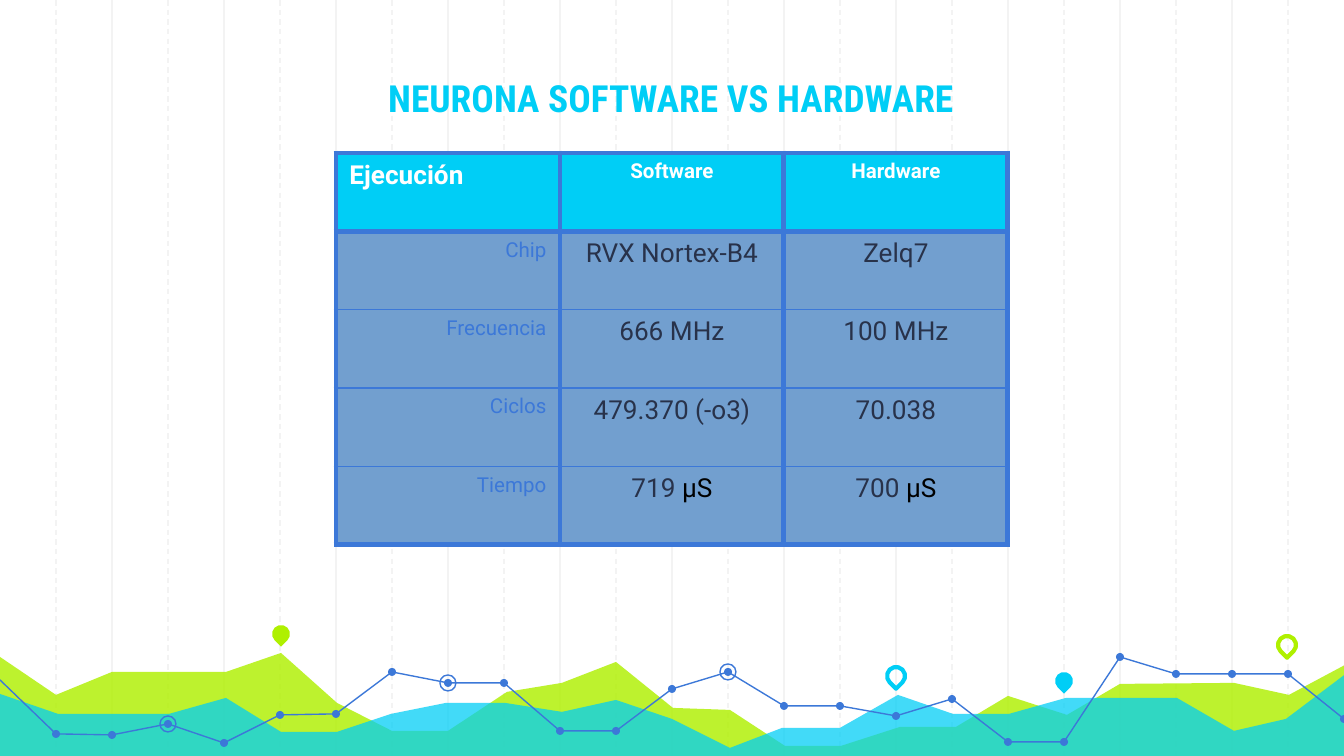
import lxml.etree
import pptx
import pptx.dml.color
import pptx.enum.dml
import pptx.enum.shapes
import pptx.enum.text
import pptx.oxml.ns
import pptx.util

SCALE = 914400 / 134.4
WIDTH, HEIGHT, FLOOR = 1344, 756, 758
STEP = 56
CYAN, LIME, BLUE = "00CEF6", "AFF000", "3C78D8"
GRID, BODY, INK, WHITE, BLACK = "F3F3F3", "729FCF", "28324A", "FFFFFF", "000000"
ALIGN = pptx.enum.text.PP_ALIGN
SHAPE = pptx.enum.shapes.MSO_SHAPE


def px(n):
    return pptx.util.Emu(round(n * SCALE))


def rgb(color):
    return pptx.dml.color.RGBColor.from_string(color)


def sub(parent, tag, **attrs):
    return lxml.etree.SubElement(parent, pptx.oxml.ns.qn(tag), attrs)


class Deck:
    font = "Roboto"
    title_font = "Roboto Condensed"
    thin, thick = 0.75, 3

    def __init__(self):
        self.prs = pptx.Presentation()
        self.prs.slide_width = px(WIDTH)
        self.prs.slide_height = px(HEIGHT)
        self.s = self.prs.slides.add_slide(self.prs.slide_layouts[5])

    def paint(self, sp, fill=None, line=None, width=thin, alpha=None):
        sp.shadow.inherit = False
        if fill:
            sp.fill.solid()
            sp.fill.fore_color.rgb = rgb(fill)
        else:
            sp.fill.background()
        if alpha:
            clr = sp.element.xpath("./p:spPr/a:solidFill/a:srgbClr")[0]
            sub(clr, "a:alpha", val=str(alpha * 1000))
        if line:
            sp.line.color.rgb = rgb(line)
            sp.line.width = pptx.util.Pt(width)
        else:
            sp.line.fill.background()

    def run(self, p, text, size, color, bold=False, font=font):
        r = p.add_run()
        r.text = text
        r.font.size = pptx.util.Pt(size)
        r.font.name = font
        r.font.bold = bold
        r.font.color.rgb = rgb(color)

    def title(self, text, x, y, w, h):
        sp = self.s.shapes.title
        sp.element.getparent().append(sp.element)
        sp.left, sp.top, sp.width, sp.height = px(x), px(y), px(w), px(h)
        tf = sp.text_frame
        tf.word_wrap = True
        tf.auto_size = pptx.enum.text.MSO_AUTO_SIZE.NONE
        tf.vertical_anchor = pptx.enum.text.MSO_ANCHOR.BOTTOM
        tf.margin_left = tf.margin_right = tf.margin_top = tf.margin_bottom = px(13)
        p = tf.paragraphs[0]
        p.alignment = ALIGN.CENTER
        self.run(p, text, 20, CYAN, True, self.title_font)

    def grid_line(self, x, dashed):
        kind = pptx.enum.shapes.MSO_CONNECTOR.STRAIGHT
        c = self.s.shapes.add_connector(kind, px(x), 0, px(x), px(FLOOR))
        c.line.color.rgb = rgb(GRID)
        c.line.width = pptx.util.Pt(self.thin)
        if dashed:
            c.line.dash_style = pptx.enum.dml.MSO_LINE.DASH
        sub(c.element.spPr, "a:effectLst")

    def outline(self, points, close=False, **style):
        builder = self.s.shapes.build_freeform(*points[0], scale=SCALE)
        builder.add_line_segments(points[1:], close=close)
        self.paint(builder.convert_to_shape(), **style)

    def area(self, points, color, alpha):
        base = [(WIDTH + 3, FLOOR), (-3, FLOOR)]
        self.outline(points + base, close=True, fill=color, alpha=alpha)

    def mark(self, kind, x, y, size, rotation=0, **style):
        sp = self.s.shapes.add_shape(
            kind, px(x - size / 2), px(y - size / 2), px(size), px(size))
        sp.rotation = rotation
        self.paint(sp, **style)

    def cell(self, cell, runs, align, fill, top, bottom):
        pr = cell._tc.get_or_add_tcPr()
        sides = (("L", self.thick), ("R", self.thick), ("T", top), ("B", bottom))
        for side, width in sides:
            ln = sub(pr, "a:ln" + side, w=str(pptx.util.Pt(width)))
            sub(sub(ln, "a:solidFill"), "a:srgbClr", val=BLUE)
        cell.fill.solid()
        cell.fill.fore_color.rgb = rgb(fill)
        p = cell.text_frame.paragraphs[0]
        p.alignment = align
        for r in runs:
            self.run(p, *r)

    def table(self, rows, x, y, w, h):
        frame = self.s.shapes.add_table(len(rows), len(rows[0]), px(x), px(y), px(w), px(h))
        tbl = frame.table
        tbl.first_row = tbl.horz_banding = False
        last = len(rows) - 1
        for i, row in enumerate(rows):
            top = self.thick if i < 2 else self.thin
            bottom = self.thick if i in (0, last) else self.thin
            for j, text in enumerate(row):
                align = ALIGN.CENTER
                if i == 0:
                    runs = [(text, 11 if j else 14, WHITE, True)]
                    align = align if j else ALIGN.LEFT
                elif j == 0:
                    runs = [(text, 11, BLUE)]
                    align = ALIGN.RIGHT
                else:
                    value, unit, _ = text.partition("μS")
                    runs = [(value, 14, INK)]
                    if unit:
                        runs.append((unit, 14, BLACK))
                self.cell(tbl.cell(i, j), runs, align, BODY if i else CYAN, top, bottom)


LIME_HILLS = [
    (-3, 655), (56, 695), (112, 672), (226, 672), (281, 653), (337, 703),
    (392, 731), (448, 731), (507, 692), (562, 683), (616, 662), (673, 708),
    (730, 710), (785, 746), (841, 746), (900, 727), (956, 727), (1008, 696),
    (1067, 715), (1120, 684), (1234, 683), (1289, 695), (1347, 664)]
CYAN_HILLS = [
    (-3, 693), (58, 714), (169, 714), (226, 698), (281, 732), (337, 732),
    (391, 714), (446, 703), (505, 703), (562, 712), (616, 700), (672, 719),
    (730, 748), (782, 728), (840, 728), (898, 695), (953, 714), (1009, 714),
    (1066, 698), (1177, 698), (1234, 731), (1286, 719), (1347, 673)]
TREND = [
    680, 734, 735, 724, 743, 715, 714, 672, 683, 683, 731, 731, 689,
    672, 706, 706, 716, 699, 742, 742, 657, 674, 674, 674, 719]
PINS = [(281, 634, LIME, True), (896, 676, CYAN, False),
        (1064, 681, CYAN, True), (1287, 645, LIME, False)]
ROWS = [
    ("Ejecución", "Software", "Hardware"),
    ("Chip", "RVX Nortex-B4", "Zelq7"),
    ("Frecuencia", "666 MHz", "100 MHz"),
    ("Ciclos", "479.370 (-o3)", "70.038"),
    ("Tiempo", "719 μS", "700 μS")]


def main():
    deck = Deck()
    for i in range(1, WIDTH // STEP):
        deck.grid_line(i * STEP, dashed=i % 2 == 1)
    deck.area(LIME_HILLS, LIME, 82)
    deck.area(CYAN_HILLS, CYAN, 74)
    for x, y, color, solid in PINS:
        style = {"fill": color} if solid else {"line": color, "width": 2.25}
        deck.mark(SHAPE.TEAR, x, y, 18, 135, **style)
    trend = [(i * STEP, y) for i, y in enumerate(TREND)]
    for first, last in ((0, 11), (11, 20), (20, 24)):
        deck.outline(trend[first:last + 1], line=BLUE)
    for x, y in trend[1:]:
        deck.mark(SHAPE.OVAL, x, y, 8, fill=BLUE)
    for i in (3, 8, 13):
        deck.mark(SHAPE.OVAL, *trend[i], 16, line=BLUE)
    deck.title("NEURONA SOFTWARE VS HARDWARE", 157, 28, 1028, 105)
    deck.table(ROWS, 336, 153, 672, 392)
    deck.prs.save("out.pptx")


if __name__ == "__main__":
    main()
